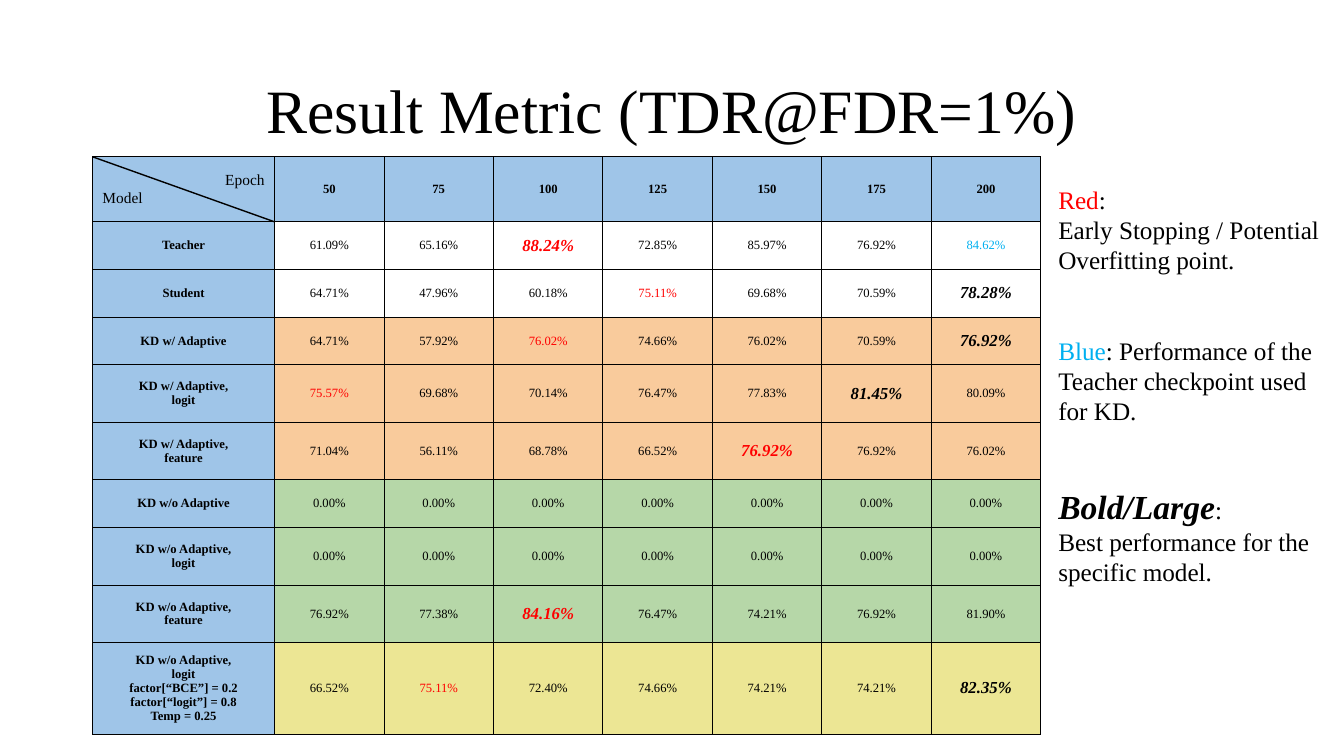
from lxml.etree import SubElement
from pptx import Presentation
from pptx.dml.color import RGBColor
from pptx.enum.text import MSO_ANCHOR as ANCHOR, PP_ALIGN as ALIGN
from pptx.oxml.ns import qn
from pptx.util import Cm, Pt

FONT = "Times New Roman"
BLACK, RED, CYAN = "000000", "FF0000", "00B0F0"
BLUE, ORANGE, GREEN, YELLOW = "9FC5E8", "F9CB9C", "B6D7A8", "ECE694"
PLAIN = {"size": Pt(9), "bold": False, "italic": False}
LABEL = {**PLAIN, "bold": True}
BEST = {"size": Pt(12), "bold": True, "italic": True}
CORNER = {**PLAIN, "size": Pt(11)}
NOTE = {**PLAIN, "size": Pt(18)}
KEY = {**BEST, "size": Pt(24)}

EPOCHS = "50 75 100 125 150 175 200"
# Suffixes: R red, T teacher checkpoint, B best of the model
ROWS = [
    ("Teacher", 1.2, None, "61.09 65.16 88.24RB 72.85 85.97 76.92 84.62T"),
    ("Student", 1.2, None, "64.71 47.96 60.18 75.11R 69.68 70.59 78.28B"),
    ("KD w/ Adaptive", 1.2, ORANGE, "64.71 57.92 76.02R 74.66 76.02 70.59 76.92B"),
    ("KD w/ Adaptive,\nlogit", 1.45, ORANGE, "75.57R 69.68 70.14 76.47 77.83 81.45B 80.09"),
    ("KD w/ Adaptive,\nfeature", 1.45, ORANGE, "71.04 56.11 68.78 66.52 76.92RB 76.92 76.02"),
    ("KD w/o Adaptive", 1.2, GREEN, "0.00 0.00 0.00 0.00 0.00 0.00 0.00"),
    ("KD w/o Adaptive,\nlogit", 1.45, GREEN, "0.00 0.00 0.00 0.00 0.00 0.00 0.00"),
    ("KD w/o Adaptive,\nfeature", 1.45, GREEN, "76.92 77.38 84.16RB 76.47 74.21 76.92 81.90"),
    ("KD w/o Adaptive,\nlogit\nfactor[“BCE”] = 0.2\nfactor[“logit”] = 0.8\nTemp = 0.25", 2.31, YELLOW,
     "66.52 75.11R 72.40 74.66 74.21 74.21 82.35B"),
]
NOTES = [
    [("Red", RED, NOTE), (":\nEarly Stopping / Potential Overfitting point.", BLACK, NOTE)],
    [("Blue", CYAN, NOTE), (": Performance of the Teacher checkpoint used for KD.", BLACK, NOTE)],
    [("Bold/Large", BLACK, KEY), (":\nBest performance for the specific model.", BLACK, NOTE)],
]


def rgb(color):
    """Turn a hex string into a colour."""
    return RGBColor.from_string(color)


def set_all(obj, formats):
    """Set every attribute named in a dict of format values."""
    for name, value in formats.items():
        setattr(obj, name, value)


def add_text(p, text, color, formats):
    """Add text to a paragraph, breaking the line at each newline."""
    for i, line in enumerate(text.split("\n")):
        if i:
            p.add_line_break()
        r = p.add_run()
        r.text = line
        set_all(r.font, {"name": FONT, **formats})
        r.font.color.rgb = rgb(color)


def fill_cell(cell, lines, fill, color, formats, aligns=None):
    """Write the lines of a cell and give it borders and a fill."""
    set_all(cell, {"vertical_anchor": ANCHOR.MIDDLE,
                   **{f"margin_{side}": Cm(0.25) for side in ("left", "right", "top", "bottom")}})
    tf = cell.text_frame
    for i, line in enumerate(lines):
        p = tf.add_paragraph() if i else tf.paragraphs[0]
        p.alignment = aligns[i] if aligns else ALIGN.CENTER
        add_text(p, line, color, formats)
    tc_pr = cell._tc.get_or_add_tcPr()
    for side in "LRTB":
        ln = SubElement(tc_pr, qn(f"a:ln{side}"), w=str(Pt(0.75)))
        SubElement(SubElement(ln, qn("a:solidFill")), qn("a:srgbClr"), val=BLACK)
    if fill:
        cell.fill.solid()
        cell.fill.fore_color.rgb = rgb(fill)
    else:
        cell.fill.background()


def add_title(s, box):
    """Place the slide title."""
    sp = s.shapes.title
    set_all(sp, dict(zip(("left", "top", "width", "height"), box)))
    tf = sp.text_frame
    set_all(tf, {"vertical_anchor": ANCHOR.MIDDLE, "word_wrap": True})
    p = tf.paragraphs[0]
    set_all(p, {"alignment": ALIGN.CENTER, "line_spacing": 0.9})
    add_text(p, "Result Metric (TDR@FDR=1%)", BLACK, {"size": Pt(44)})


def add_results(s, left, top, width):
    """Place the results table and the diagonal of its corner cell."""
    epochs = EPOCHS.split()
    heights = [Cm(1.64)] + [Cm(h) for _, h, _, _ in ROWS]
    table = s.shapes.add_table(len(heights), len(epochs) + 1, left, top, width, sum(heights)).table
    set_all(table, {"first_row": False, "horz_banding": False})
    label_w = Cm(4.59)
    for i, col in enumerate(table.columns):
        col.width = (width - label_w) // len(epochs) if i else label_w
    for row, height in zip(table.rows, heights):
        row.height = height

    fill_cell(table.cell(0, 0), ["Epoch", "Model"], BLUE, BLACK, CORNER, (ALIGN.RIGHT, ALIGN.LEFT))
    for j, epoch in enumerate(epochs, 1):
        fill_cell(table.cell(0, j), [epoch], BLUE, BLACK, LABEL)
    for i, (label, _, fill, values) in enumerate(ROWS, 1):
        fill_cell(table.cell(i, 0), label.split("\n"), BLUE, BLACK, LABEL)
        for j, value in enumerate(values.split(), 1):
            color = RED if "R" in value else CYAN if "T" in value else BLACK
            formats = BEST if "B" in value else PLAIN
            fill_cell(table.cell(i, j), [value.rstrip("RTB") + "%"], fill, color, formats)

    line = s.shapes.add_connector(1, left, top, left + label_w, top + heights[0])
    line.line.width = Pt(1)
    line.line.color.rgb = rgb(BLACK)
    SubElement(line._element.spPr, qn("a:effectLst"))


def add_notes(s, box):
    """Place the key that explains colours and bold values."""
    tf = s.shapes.add_textbox(*box).text_frame
    tf.word_wrap = True
    for i, runs in enumerate(NOTES):
        p = tf.add_paragraph() if i else tf.paragraphs[0]
        p.space_before = Pt(43 if i else 0)
        for run in runs:
            add_text(p, *run)


def main():
    """Build the slide and save it."""
    prs = Presentation()
    set_all(prs, {"slide_width": Cm(33.87), "slide_height": Cm(19.05)})
    s = prs.slides.add_slide(prs.slide_layouts[5])
    add_title(s, (Cm(2.33), Cm(1.02), Cm(29.21), Cm(3.68)))
    add_results(s, Cm(2.33), Cm(3.95), Cm(23.9))
    add_notes(s, (Cm(26.42), Cm(4.52), Cm(7.24), Cm(12.22)))
    prs.save("out.pptx")


if __name__ == "__main__":
    main()
